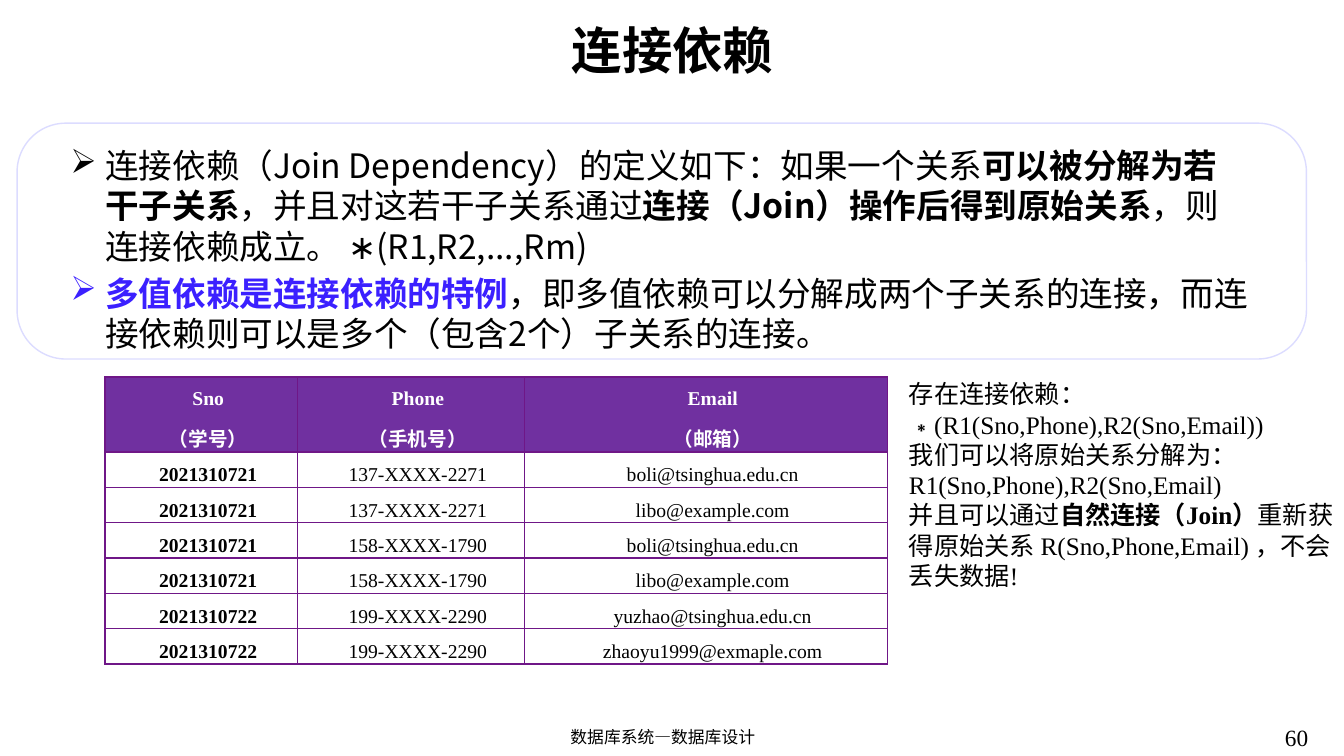
"""Build the slide on join dependency."""
from lxml.etree import SubElement
from pptx import Presentation
from pptx.dml.color import RGBColor
from pptx.enum.shapes import MSO_SHAPE
from pptx.enum.text import MSO_ANCHOR, PP_ALIGN
from pptx.oxml.ns import qn
from pptx.util import Pt

COLORS = {"black": "000000", "white": "FFFFFF", "blue": "3B20FF",
          "header": "7030A0", "border": "6F1787", "panel": "DCDCFF"}
SANS, SERIF = "Noto Sans CJK SC", "Times New Roman"
TITLE = "连接依赖"
FOOTER = "数据库系统—数据库设计"
NUMBER = "60"
DEFINITION = [
    [("连接依赖（Join Dependency）的定义如下：如果一个关系", {}),
     ("可以被分解为若干子关系", {"bold": True}),
     ("，并且对这若干子关系通过", {}),
     ("连接（Join）操作后得到原始关系", {"bold": True}),
     ("，则连接依赖成立。 ∗(R1,R2,...,Rm)", {})],
    [("多值依赖是连接依赖的特例", {"bold": True, "color": "blue"}),
     ("，即多值依赖可以分解成两个子关系的连接，而连接依赖则可以是多个（包含2个）子关系的连接。", {})],
]
EXAMPLE = [
    [("存在连接依赖：", {})],
    [("∗(R1(Sno,Phone),R2(Sno,Email))", {})],
    [("我们可以将原始关系分解为：", {})],
    [("R1(Sno,Phone),R2(Sno,Email)", {})],
    [("并且可以通过", {}), ("自然连接（Join）", {"bold": True}),
     ("重新获得原始关系 R(Sno,Phone,Email) ，不会丢失数据!", {})],
]
HEADER = [("Sno", "（学号）"), ("Phone", "（手机号）"), ("Email", "（邮箱）")]
RECORDS = [
    ("2021310721", "137-XXXX-2271", "boli@tsinghua.edu.cn"),
    ("2021310721", "137-XXXX-2271", "libo@example.com"),
    ("2021310721", "158-XXXX-1790", "boli@tsinghua.edu.cn"),
    ("2021310721", "158-XXXX-1790", "libo@example.com"),
    ("2021310722", "199-XXXX-2290", "yuzhao@tsinghua.edu.cn"),
    ("2021310722", "199-XXXX-2290", "zhaoyu1999@exmaple.com"),
]
COL_WIDTHS = (137.5, 162, 259.2)
HEADER_HEIGHT, ROW_HEIGHT = 53.6, 23.3


def rgb(name):
    return RGBColor.from_string(COLORS[name])


def set_all(obj, values):
    for key, value in values.items():
        setattr(obj, key, value)


def add_run(p, text, size, font=SANS, color="black", bold=False):
    r = p.add_run()
    r.text = text
    set_all(r.font, {"size": Pt(size), "name": font, "bold": bold})
    r.font.color.rgb = rgb(color)
    SubElement(r.font._element, qn("a:ea")).set("typeface", SANS)


def add_bullet(p):
    pPr = p._p.get_or_add_pPr()
    pPr.set("marL", str(Pt(25)))
    pPr.set("indent", str(-Pt(25)))
    SubElement(pPr, qn("a:buChar")).set("char", "➢")


def add_text(s, box, paragraphs, size, font=SANS, align=PP_ALIGN.LEFT, bullets=False):
    tf = s.shapes.add_textbox(*map(Pt, box)).text_frame
    tf.word_wrap = True
    for i, runs in enumerate(paragraphs):
        p = tf.add_paragraph() if i else tf.paragraphs[0]
        if bullets:
            add_bullet(p)
        set_all(p, {"alignment": align, "line_spacing": Pt(1.2 * size),
                    "space_before": Pt(0.2 * size if bullets and i else 0)})
        for text, style in runs:
            add_run(p, text, size, font, **style)


def add_borders(cell):
    tcPr = cell._tc.get_or_add_tcPr()
    for i, side in enumerate(("lnL", "lnR", "lnT", "lnB")):
        ln = tcPr.makeelement(qn("a:" + side), {"w": str(Pt(1))})
        fill = SubElement(ln, qn("a:solidFill"))
        SubElement(fill, qn("a:srgbClr")).set("val", COLORS["border"])
        tcPr.insert(i, ln)


def fill_cell(cell, lines, fill, color, bold):
    set_all(cell, {"margin_left": Pt(5), "margin_right": Pt(5), "margin_top": 0,
                   "margin_bottom": 0, "vertical_anchor": MSO_ANCHOR.MIDDLE})
    cell.fill.solid()
    cell.fill.fore_color.rgb = rgb(fill)
    add_borders(cell)
    tf = cell.text_frame
    for i, line in enumerate(lines):
        p = tf.add_paragraph() if i else tf.paragraphs[0]
        set_all(p, {"alignment": PP_ALIGN.CENTER, "line_spacing": 1.5})
        p._p.get_or_add_pPr().set("indent", str(Pt(10)))
        add_run(p, line, 14, SERIF, color, bold)


def add_records(s):
    rows = [HEADER] + [[(text,) for text in record] for record in RECORDS]
    height = HEADER_HEIGHT + ROW_HEIGHT * len(RECORDS)
    table = s.shapes.add_table(len(rows), len(HEADER), Pt(75), Pt(269.3),
                               Pt(sum(COL_WIDTHS)), Pt(height)).table
    table.horz_banding = False
    for col, width in zip(table.columns, COL_WIDTHS):
        col.width = Pt(width)
    for i, row in enumerate(rows):
        table.rows[i].height = Pt(ROW_HEIGHT if i else HEADER_HEIGHT)
        for j, lines in enumerate(row):
            fill, color = ("white", "black") if i else ("header", "white")
            fill_cell(table.cell(i, j), lines, fill, color, i == 0 or j == 0)


def main():
    prs = Presentation()
    set_all(prs, {"slide_width": Pt(960), "slide_height": Pt(540)})
    s = prs.slides.add_slide(prs.slide_layouts[5])

    title = s.shapes.title
    set_all(title, {"left": Pt(82.8), "top": Pt(8.6), "width": Pt(795), "height": Pt(53.3)})
    title.text_frame.vertical_anchor = MSO_ANCHOR.MIDDLE
    p = title.text_frame.paragraphs[0]
    p.alignment = PP_ALIGN.CENTER
    add_run(p, TITLE, 36, bold=True)

    panel = s.shapes.add_shape(MSO_SHAPE.ROUNDED_RECTANGLE, Pt(12.2), Pt(88), Pt(921), Pt(168.5))
    panel.adjustments[0] = 0.207
    panel.shadow.inherit = False
    panel.fill.solid()
    panel.fill.fore_color.rgb = rgb("white")
    panel.line.color.rgb = rgb("panel")
    panel.line.width = Pt(1)

    add_text(s, (43.2, 100, 856, 106), DEFINITION, 24, bullets=True)
    add_records(s)
    add_text(s, (642.2, 267, 317.5, 160), EXAMPLE, 18, SERIF)
    add_text(s, (322, 515.5, 303, 24.5), [[(FOOTER, {})]], 12, align=PP_ALIGN.CENTER)
    add_text(s, (910.8, 513.4, 49.2, 26.6), [[(NUMBER, {})]], 16.6, SERIF)
    prs.save("out.pptx")


if __name__ == "__main__":
    main()
